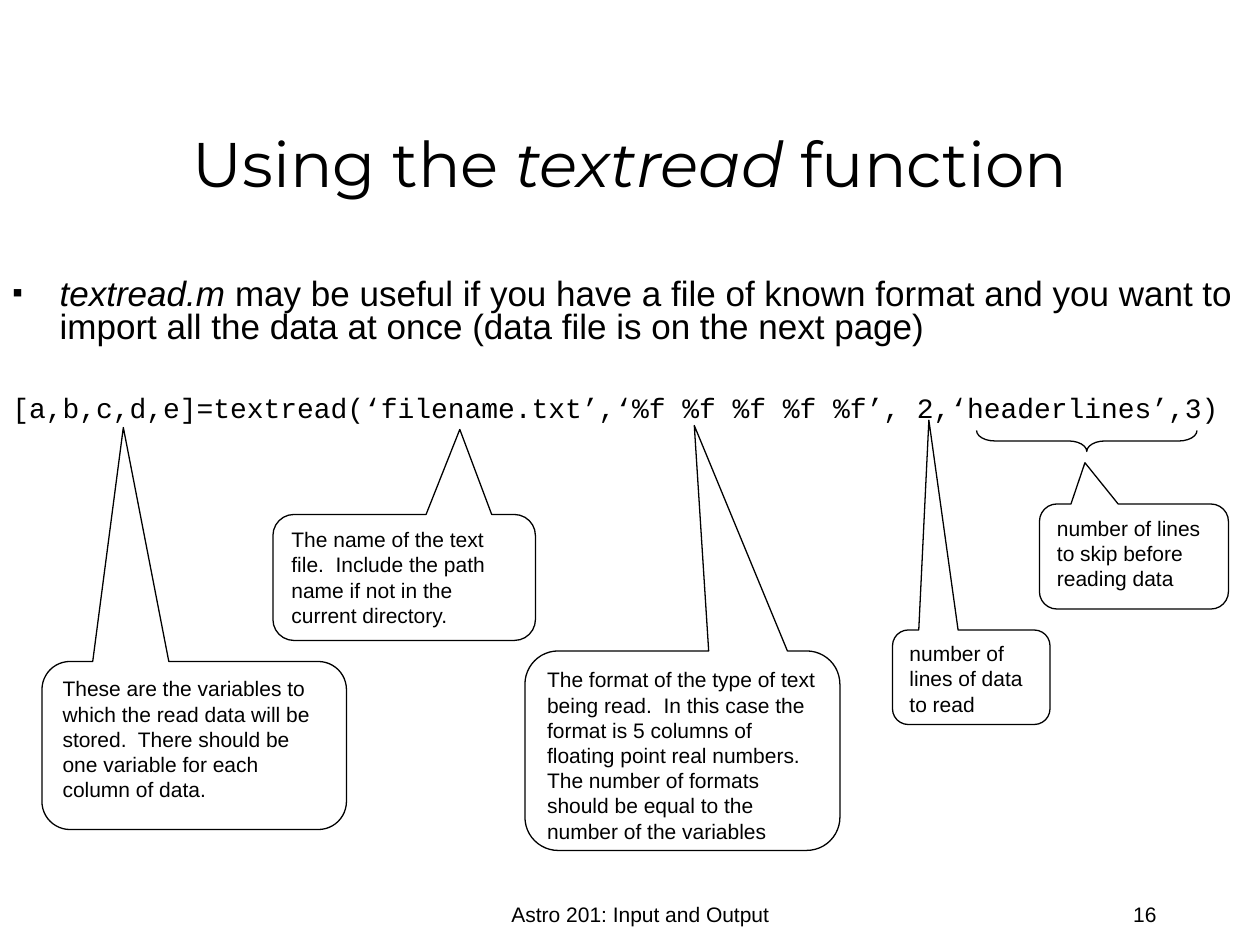
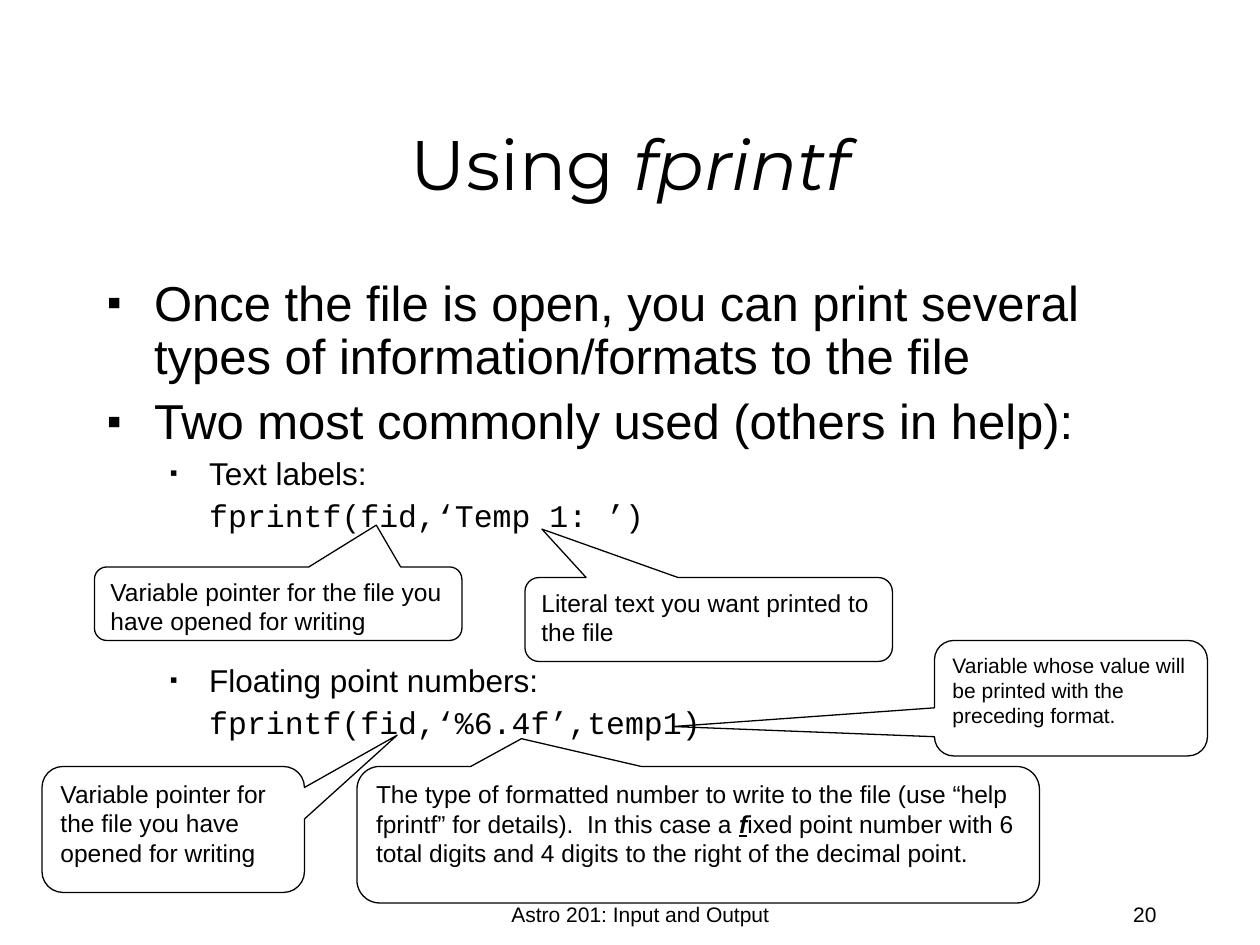
"""Two lecture slides on reading and writing text files, with callouts around code."""
from lxml import etree
from pptx import Presentation
from pptx import util as u
from pptx.dml.color import RGBColor
from pptx.enum import shapes, text
from pptx.oxml.ns import qn

BLACK = "000000"
BODY, CODE, HEAD = "Arial", "Courier New", "Montserrat"
FOOTER = "Astro 201: Input and Output"
ITALIC = {"italic": True}
KEY_LETTER = {"bold": True, "italic": True, "underline": True}

STYLES = {
    "intro": dict(font=BODY, size=20, left=27, hang=27, line=0.8, before=5, bullet=85),
    "call": dict(font=CODE, size=16, left=0, hang=0, line=0.8, before=29),
    "point": dict(font=BODY, size=28, left=27, hang=27, line=0.9, before=7, bullet=85),
    "sub": dict(font=BODY, size=18, left=58.5, hang=22.5, line=0.9, before=4.5, bullet=70),
    "subcode": dict(font=CODE, size=18, left=58.5, hang=0, line=0.9, before=4.5),
}
STYLES["later_sub"] = STYLES["sub"] | {"before": 75}

SLIDES = [
    {
        "title": [("Using the ", {}), ("textread", ITALIC), (" function", {})],
        "title_size": 36,
        "number": "16",
        "body_box": (0, 156, 720, 126),
        "body": [
            ("intro", [("textread.m", ITALIC),
                       (" may be useful if you have a file of known format and you want to "
                        "import all the data at once (data file is on the next page)", {})]),
            ("call", "[a,b,c,d,e]=textread(‘filename.txt’,‘%f %f %f %f %f’, 2,‘headerlines’,3)"),
        ],
        "brace": (615, 189, 12, 126),
        "callouts": [
            ((24, 378, 174, 96), (70.5, 244.3), 12,
             "These are the variables to which the read data will be stored.  "
             "There should be one variable for each column of data."),
            ((156, 294, 150, 72), (262.8, 245.4), 12,
             "The name of the text file.  Include the path name if not in the current directory."),
            ((300, 372, 180, 114), (396.8, 243.2), 12,
             "The format of the type of text being read.  In this case the format is 5 columns of "
             "floating point real numbers.  The number of formats should be equal to the number "
             "of the variables"),
            ((510, 360, 90, 54), (530.8, 240.1), 12, "number of lines of data to read"),
            ((594, 288, 108, 60), (620, 264.4), 12,
             "number of lines to skip before reading data"),
        ],
    },
    {
        "title": [("Using ", {}), ("fprintf", ITALIC)],
        "title_size": 40,
        "number": "20",
        "body_box": (54, 156, 612, 324),
        "body": [
            ("point", "Once the file is open, you can print several types of "
                      "information/formats to the file"),
            ("point", "Two most commonly used (others in help):"),
            ("sub", "Text labels:"),
            ("subcode", "fprintf(fid,‘Temp 1: ’)"),
            ("later_sub", "Floating point numbers:"),
            ("subcode", "fprintf(fid,‘%6.4f’,temp1)"),
        ],
        "callouts": [
            ((54, 324, 210, 42), (215.1, 300.1), 14,
             "Variable pointer for the file you have opened for writing"),
            ((300, 330, 210, 48), (309.7, 302.3), 14, "Literal text you want printed to the file"),
            ((24, 438, 150, 72), (227, 420.1), 14,
             "Variable pointer for the file you have opened for writing"),
            ((534, 366, 156, 66), (384.6, 415.2), 12,
             "Variable whose value will be printed with the preceding format."),
            ((204, 438, 390, 78), (298, 422.1), 14,
             [("The type of formatted number to write to the file (use “help fprintf” for "
               "details).  In this case a ", {}),
              ("f", KEY_LETTER),
              ("ixed point number with 6 total digits and 4 digits to the right of the "
               "decimal point.", {})]),
        ],
    },
]


def rgb(value):
    return RGBColor.from_string(value)


def points(box):
    return [u.Pt(v) for v in box]


def write(p, runs, font, size):
    for words, extra in [(runs, {})] if isinstance(runs, str) else runs:
        r = p.add_run()
        r.text = words
        r.font.color.rgb = rgb(BLACK)
        for name, value in ({"name": font, "size": u.Pt(size)} | extra).items():
            setattr(r.font, name, value)


def add_text(s, box, anchor=text.MSO_ANCHOR.TOP):
    tf = s.shapes.add_textbox(*points(box)).text_frame
    tf.word_wrap = True
    tf.vertical_anchor = anchor
    return tf


def add_line_text(s, box, runs, font, size, align, anchor):
    p = add_text(s, box, anchor).paragraphs[0]
    p.alignment = align
    write(p, runs, font, size)


def add_body(s, box, items):
    tf = add_text(s, box)
    for i, (kind, runs) in enumerate(items):
        p = tf.add_paragraph() if i else tf.paragraphs[0]
        style = STYLES[kind]
        p.line_spacing = style["line"]
        p.space_before = u.Pt(style["before"])
        pr = p._p.get_or_add_pPr()
        pr.set("marL", str(u.Pt(style["left"])))
        pr.set("indent", str(-u.Pt(style["hang"])))
        if "bullet" in style:
            color = etree.SubElement(pr, qn("a:buClr"))
            etree.SubElement(color, qn("a:srgbClr"), val=BLACK)
            etree.SubElement(pr, qn("a:buSzPct"), val=str(style["bullet"] * 1000))
            etree.SubElement(pr, qn("a:buFont"), typeface=BODY)
            etree.SubElement(pr, qn("a:buChar"), char="▪")
        write(p, runs, style["font"], style["size"])


def add_outline(s, kind, box):
    sp = s.shapes.add_shape(kind, *points(box))
    sp.shadow.inherit = False
    sp.fill.background()
    sp.line.color.rgb = rgb(BLACK)
    sp.line.width = u.Pt(0.75)
    return sp


def add_callout(s, box, tip, size, runs):
    sp = add_outline(s, shapes.MSO_SHAPE.ROUNDED_RECTANGULAR_CALLOUT, box)
    for axis in (0, 1):
        start, length = box[axis], box[axis + 2]
        sp.adjustments[axis] = (tip[axis] - start) / length - 0.5
    tf = sp.text_frame
    tf.word_wrap = True
    tf.vertical_anchor = text.MSO_ANCHOR.TOP
    p = tf.paragraphs[0]
    p.alignment = text.PP_ALIGN.LEFT
    write(p, runs, BODY, size)


def add_brace(s, box):
    sp = add_outline(s, shapes.MSO_SHAPE.RIGHT_BRACE, box)
    sp.adjustments[0] = 0.87
    sp.rotation = 90


def build_slide(prs, data):
    s = prs.slides.add_slide(prs.slide_layouts[6])
    align, anchor = text.PP_ALIGN, text.MSO_ANCHOR
    add_line_text(s, (54, 66, 612, 54), data["title"], HEAD, data["title_size"],
                  align.CENTER, anchor.MIDDLE)
    add_body(s, data["body_box"], data["body"])
    if "brace" in data:
        add_brace(s, data["brace"])
    for callout in data["callouts"]:
        add_callout(s, *callout)
    add_line_text(s, (156, 497, 420, 36), FOOTER, BODY, 12, align.CENTER, anchor.BOTTOM)
    add_line_text(s, (624, 497, 44, 36), data["number"], BODY, 12, align.RIGHT, anchor.BOTTOM)


def main():
    prs = Presentation()
    prs.slide_width, prs.slide_height = u.Pt(720), u.Pt(540)
    for data in SLIDES:
        build_slide(prs, data)
    prs.save("out.pptx")


if __name__ == "__main__":
    main()
